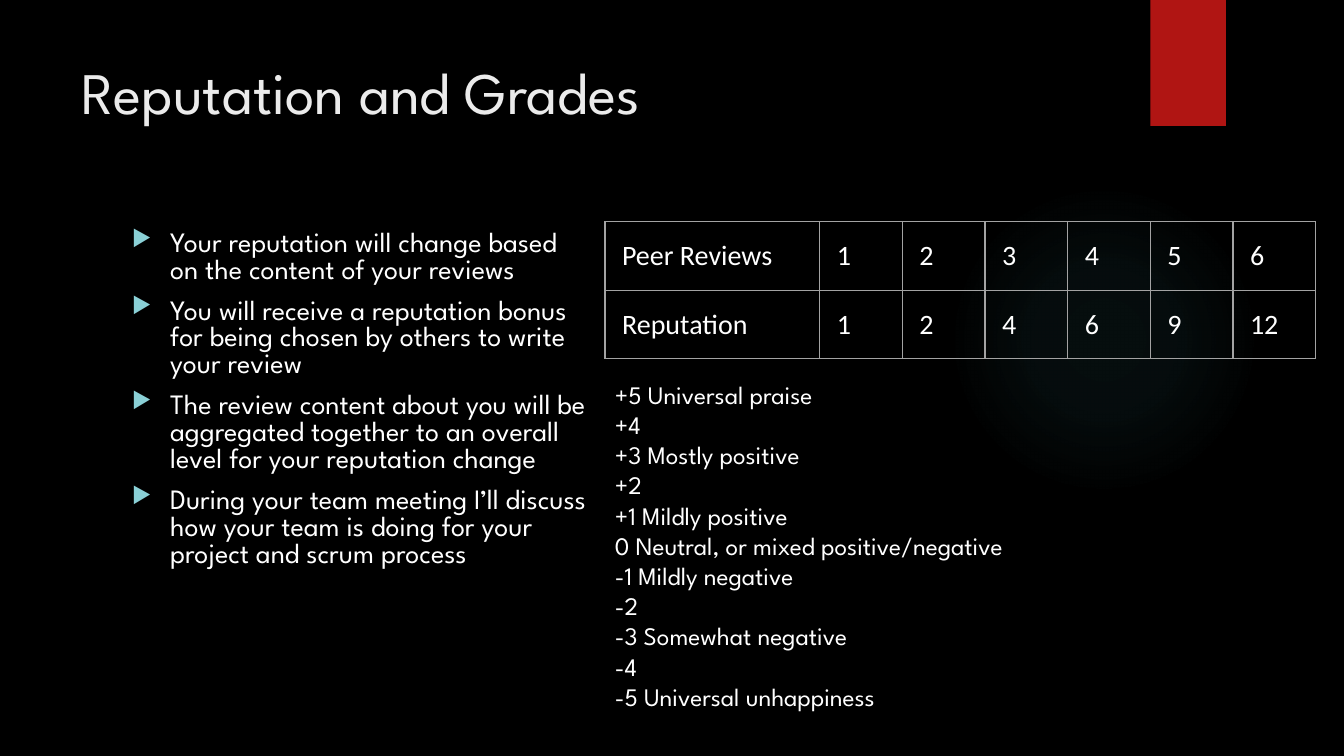
"""Build the reputation and grades slide."""
from dataclasses import dataclass

from lxml import etree
from pptx import Presentation
from pptx.dml.color import RGBColor
from pptx.enum.shapes import MSO_SHAPE
from pptx.enum.text import MSO_ANCHOR, MSO_AUTO_SIZE, PP_ALIGN
from pptx.oxml import parse_xml
from pptx.oxml.ns import qn
from pptx.util import Emu, Pt

PX = 9144
OVAL, RECTANGLE = MSO_SHAPE.OVAL, MSO_SHAPE.RECTANGLE
TOP, LEFT = MSO_ANCHOR.TOP, PP_ALIGN.LEFT
NO_FIT, GROW = MSO_AUTO_SIZE.NONE, MSO_AUTO_SIZE.SHAPE_TO_FIT_TEXT
DRAWING_NS = "http://schemas.openxmlformats.org/drawingml/2006/main"
WHITE, BLACK, RED = "FFFFFF", "000000", "B01513"
TITLE_GREY, BORDER_GREY = "EBEBEB", "A3A3A3"
GLOW_TEAL, BULLET_TEAL = "50B9C1", "8AD0D6"


@dataclass(frozen=True)
class Area:
    left: int
    top: int
    width: int
    height: int

    def emu(self) -> tuple[Emu, ...]:
        return tuple(px(v) for v in (self.left, self.top, self.width, self.height))


@dataclass(frozen=True)
class TextStyle:
    size: int
    font: str = "League Spartan"
    color: str = WHITE


@dataclass(frozen=True)
class TextBlock:
    area: Area
    lines: tuple[str, ...]
    style: TextStyle
    bulleted: bool = False


TITLE = TextBlock(Area(71, 50, 1029, 153), ("Reputation and Grades",),
                  TextStyle(42, color=TITLE_GREY))
REVIEW_RULES = TextBlock(Area(121, 224, 474, 457), (
    "Your reputation will change based on the content of your reviews",
    "You will receive a reputation bonus for being chosen by others to write your review",
    "The review content about you will be aggregated together to an overall level "
    "for your reputation change",
    "During your team meeting I’ll discuss how your team is doing for your project "
    "and scrum process",
), TextStyle(20), bulleted=True)
RATING_SCALE = TextBlock(Area(600, 371, 586, 343), (
    "+5 Universal praise",
    "+4",
    "+3 Mostly positive",
    "+2",
    "+1 Mildly positive",
    "0 Neutral, or mixed positive/negative",
    "-1 Mildly negative",
    "-2",
    "-3 Somewhat negative",
    "-4",
    "-5 Universal unhappiness",
), TextStyle(18))
REPUTATION_ROWS = (
    ("Peer Reviews", "1", "2", "3", "4", "5", "6"),
    ("Reputation", "1", "2", "4", "6", "9", "12"),
)
TABLE_AREA = Area(600, 220, 705, 134)
TABLE_STYLE = TextStyle(20, "Calibri")
LABEL_WIDTH, SCORE_WIDTH, ROW_HEIGHT, CELL_MARGIN = 213, 82, 67, 17
BULLET_INDENT = 38


def px(length: int) -> Emu:
    return Emu(length * PX)


def rgb(color: str) -> RGBColor:
    return RGBColor.from_string(color)


def add_span(para, text: str, style: TextStyle) -> None:
    span = para.add_run()
    span.text = text
    span.font.size = Pt(style.size)
    span.font.name = style.font
    span.font.color.rgb = rgb(style.color)


def add_bullet(para) -> None:
    para.line_spacing = 0.8
    para.space_before = Pt(10)
    properties = para._p.get_or_add_pPr()
    properties.set("marL", str(px(BULLET_INDENT)))
    properties.set("indent", str(px(-BULLET_INDENT)))
    color = etree.SubElement(properties, qn("a:buClr"))
    etree.SubElement(color, qn("a:srgbClr"), val=BULLET_TEAL)
    etree.SubElement(properties, qn("a:buSzPct"), val="80000")
    etree.SubElement(properties, qn("a:buChar"), char="▶")


def fill_text(frame, block: TextBlock, auto_size) -> None:
    frame.word_wrap = True
    frame.auto_size = auto_size
    frame.vertical_anchor = TOP
    for index, line in enumerate(block.lines):
        para = frame.add_paragraph() if index else frame.paragraphs[0]
        para.alignment = LEFT
        if block.bulleted:
            add_bullet(para)
        add_span(para, line, block.style)


def add_text(page, block: TextBlock, auto_size) -> None:
    box = page.shapes.add_textbox(*block.area.emu())
    fill_text(box.text_frame, block, auto_size)


def set_title(page, block: TextBlock) -> None:
    title = page.shapes.title
    title.left, title.top, title.width, title.height = block.area.emu()
    fill_text(title.text_frame, block, NO_FIT)


def add_plain_shape(page, preset, area: Area, color: str):
    shape = page.shapes.add_shape(preset, *area.emu())
    shape.shadow.inherit = False
    shape.fill.solid()
    shape.fill.fore_color.rgb = rgb(color)
    shape.line.fill.background()
    return shape


def add_glow(page) -> None:
    glow = add_plain_shape(page, OVAL, Area(941, 183, 308, 308), GLOW_TEAL)
    stops = "".join(
        f'<a:gs pos="{place}000"><a:srgbClr val="{GLOW_TEAL}">'
        f'<a:alpha val="{opacity}000"/></a:srgbClr></a:gs>'
        for place, opacity in ((0, 7), (36, 6), (69, 0)))
    gradient = parse_xml(
        f'<a:gradFill xmlns:a="{DRAWING_NS}"><a:gsLst>{stops}</a:gsLst>'
        '<a:path path="circle"><a:fillToRect l="50000" t="50000" r="50000" b="50000"/>'
        '</a:path></a:gradFill>')
    properties = glow._element.spPr
    properties.replace(properties.find(qn("a:solidFill")), gradient)


def set_borders(cell) -> None:
    properties = cell._tc.get_or_add_tcPr()
    for index, side in enumerate(("lnL", "lnR", "lnT", "lnB")):
        line = etree.Element(qn(f"a:{side}"), w=str(Pt(1)))
        fill = etree.SubElement(line, qn("a:solidFill"))
        etree.SubElement(fill, qn("a:srgbClr"), val=BORDER_GREY)
        properties.insert(index, line)


def add_reputation_table(page, rows: tuple[tuple[str, ...], ...]) -> None:
    table = page.shapes.add_table(len(rows), len(rows[0]), *TABLE_AREA.emu()).table
    table.first_row = table.horz_banding = False
    for index, column in enumerate(table.columns):
        column.width = px(SCORE_WIDTH if index else LABEL_WIDTH)
    for row, values in zip(table.rows, rows):
        row.height = px(ROW_HEIGHT)
        for cell, value in zip(row.cells, values):
            cell.margin_left = cell.margin_right = px(CELL_MARGIN)
            cell.margin_top = cell.margin_bottom = px(CELL_MARGIN)
            cell.fill.background()
            set_borders(cell)
            add_span(cell.text_frame.paragraphs[0], value, TABLE_STYLE)


def main() -> None:
    deck = Presentation()
    deck.slide_width, deck.slide_height = px(1333), px(750)
    page = deck.slides.add_slide(deck.slide_layouts.get_by_name("Title Only"))
    page.background.fill.solid()
    page.background.fill.fore_color.rgb = rgb(BLACK)
    add_glow(page)
    add_plain_shape(page, RECTANGLE, Area(1141, 0, 75, 125), RED)
    add_text(page, REVIEW_RULES, NO_FIT)
    add_reputation_table(page, REPUTATION_ROWS)
    add_text(page, RATING_SCALE, GROW)
    set_title(page, TITLE)
    deck.save("out.pptx")


if __name__ == "__main__":
    main()
